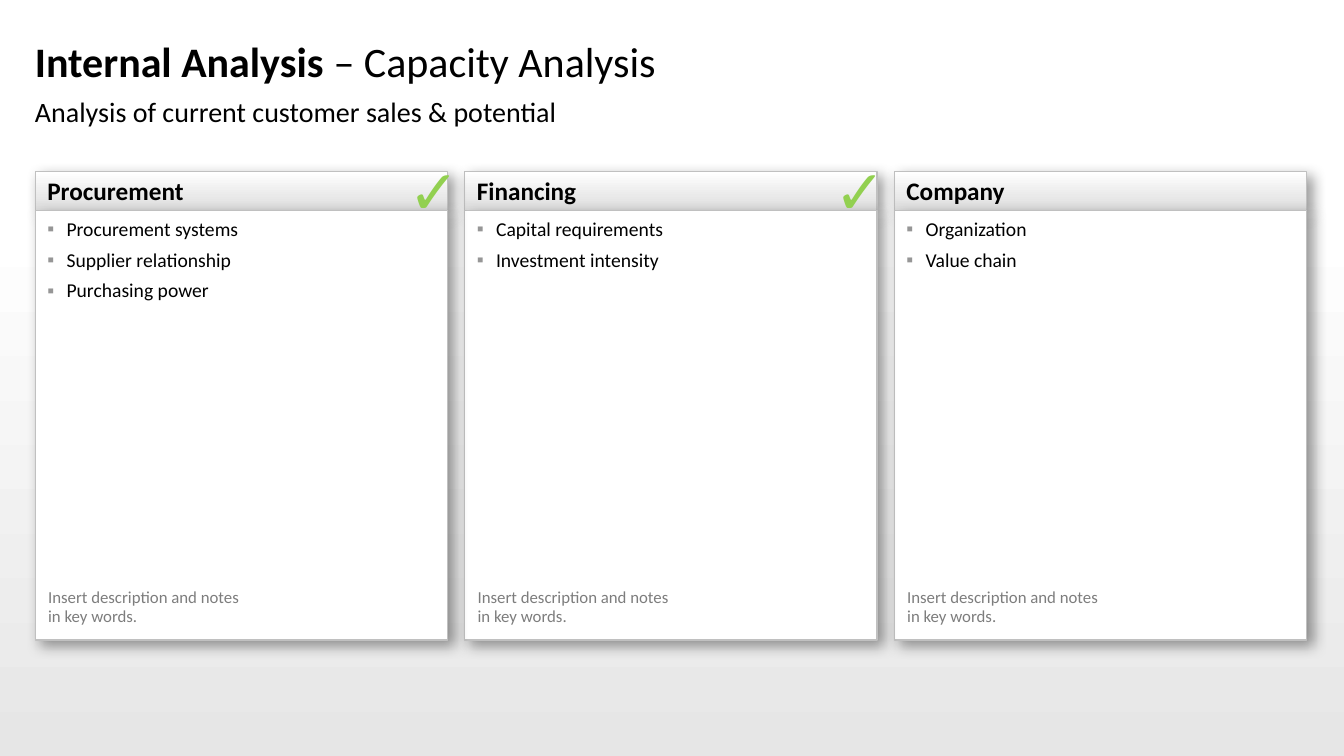
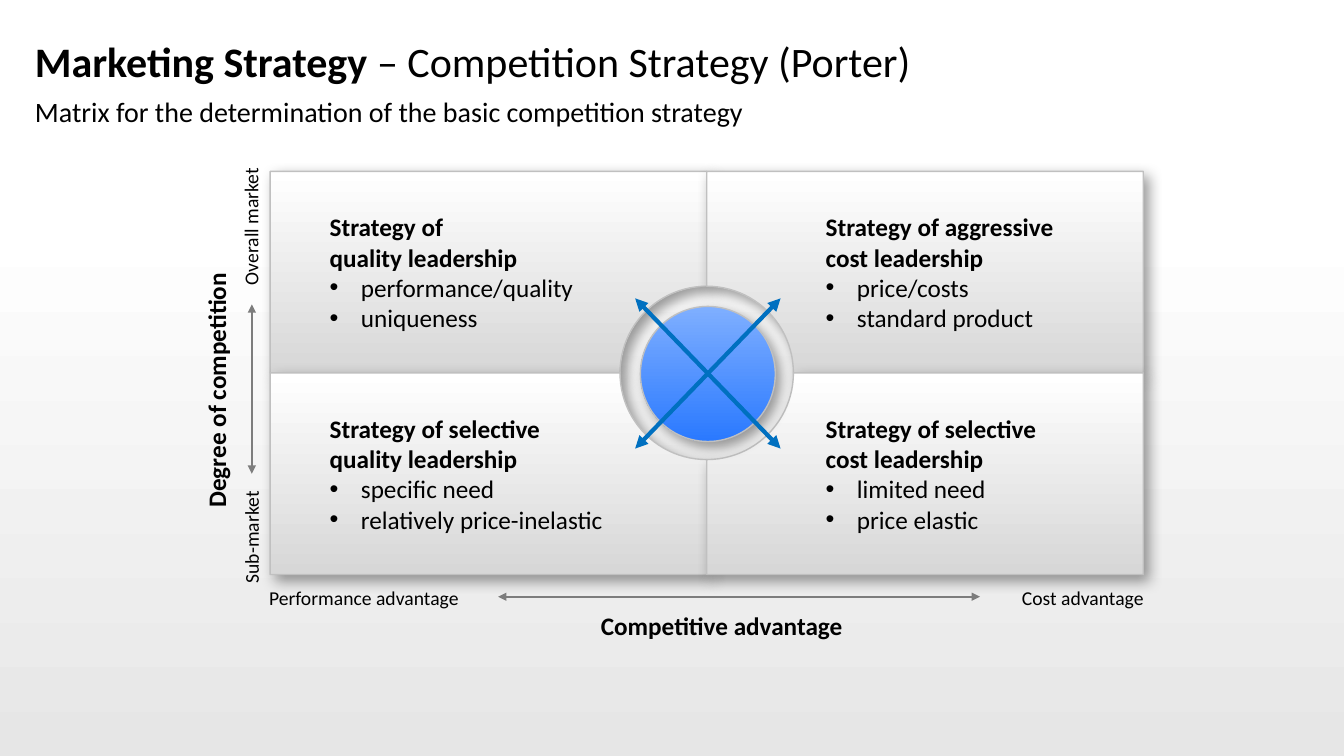
"""Builds a capacity analysis slide and a competition strategy matrix."""
import math
from dataclasses import dataclass
from typing import Optional

from lxml import etree
from pptx import Presentation
from pptx import util as u
from pptx.dml.color import RGBColor
from pptx.enum import shapes, text
from pptx.oxml.ns import qn

FONT = "Calibri"
COLORS = {
    "text": "000000", "note": "7D7D7D", "bullet": "969696", "border": "C0C0C0",
    "white": "FFFFFF", "band": "E6E6E6", "header": "DDDDDD", "cell": "D7D7D7",
    "check": "92D050", "sky": "7FAFFF", "blue": "2A79FF", "arrow": "0070C0",
}
RADIUS = 0.86
HALF = 10
ARC_STEPS = 24


@dataclass(frozen=True)
class Grid:
    """A grid of equal columns and rows, measured in inches."""
    left: float
    top: float
    col: float
    row: float

    def pt(self, col: float, row: float) -> tuple[int, int]:
        """Return the place of a grid position."""
        return u.Inches(self.left + col * self.col), u.Inches(self.top + row * self.row)

    def box(self, col: float, row: float, cols: float, rows: float) -> tuple[int, ...]:
        """Return left, top, width and height of a block of cells."""
        return *self.pt(col, row), u.Inches(cols * self.col), u.Inches(rows * self.row)


PAGE = Grid(0, 0, 13.33, 7.5)
CARDS = Grid(0.35, 1.7, 4.26, 4.65 / 12)
MATRIX = Grid(2.68, 1.7, 8.66 / 20, 4 / 20)
CARD_COLS = 0.96


@dataclass(frozen=True)
class Style:
    """Looks of a run of text."""
    size: float
    bold: bool = False
    color: str = "text"


@dataclass(frozen=True)
class Bullet:
    """Bullet sign, hanging indent in inches and colour."""
    char: str
    indent: float
    color: str


@dataclass(frozen=True)
class Card:
    """A titled list, with the column share where its check mark starts."""
    title: str
    items: tuple[str, ...]
    check: Optional[float] = None


@dataclass(frozen=True)
class Quadrant:
    """A matrix cell, with its side of the centre and its left inset."""
    sx: int
    sy: int
    inset: float
    title: str
    items: tuple[str, ...]


@dataclass(frozen=True)
class Label:
    """An axis label around its centre on the matrix grid."""
    text: str
    col: float
    row: float
    cols: float
    style: Style
    align: str = "LEFT"
    upright: bool = False


@dataclass(frozen=True)
class Arrow:
    """A double arrow between two positions on the matrix grid."""
    start: tuple[float, float]
    end: tuple[float, float]
    color: str
    width: float


SMALL, LARGE, STRONG = Style(14), Style(18), Style(18, True)
TITLE, TITLE_REST, SUBTITLE = Style(30, True), Style(30), Style(20)
NOTE, CHECK = Style(12, color="note"), Style(44, True, "check")
SQUARE, DOT = Bullet("▪", 0.19, "bullet"), Bullet("•", 0.31, "text")

CARD_LIST = (
    Card("Procurement", ("Procurement systems", "Supplier relationship", "Purchasing power"), 0.87),
    Card("Financing", ("Capital requirements", "Investment intensity"), 0.86),
    Card("Company", ("Organization", "Value chain")),
)
QUADRANTS = (
    Quadrant(-1, -1, 0.59, "Strategy of\nquality leadership", ("performance/quality", "uniqueness")),
    Quadrant(-1, 1, 0.59, "Strategy of selective\nquality leadership",
             ("specific need", "relatively price-inelastic")),
    Quadrant(1, -1, 1.18, "Strategy of aggressive\ncost leadership", ("price/costs", "standard product")),
    Quadrant(1, 1, 1.18, "Strategy of selective\ncost leadership", ("limited need", "price elastic")),
)
LABELS = (
    Label("Competitive advantage", 10.37, 22.55, 5.59, STRONG),
    Label("Performance advantage", 2.17, 21.15, 4.39, SMALL),
    Label("Cost advantage", 18.6, 21.15, 2.82, SMALL, "RIGHT"),
    Label("Sub-market", -0.44, 18.15, 2.12, SMALL, upright=True),
    Label("Overall market", -0.45, 2.8, 2.75, SMALL, "RIGHT", True),
    Label("Degree of competition", -1.24, 10.8, 5.43, STRONG, upright=True),
)
ARROWS = (
    Arrow((8.36, 13.75), (11.69, 6.3), "arrow", 3),
    Arrow((11.69, 13.75), (8.36, 6.3), "arrow", 3),
    Arrow((5.22, 21.1), (16.26, 21.1), "note", 1.5),
    Arrow((-0.42, 15), (-0.42, 6.6), "note", 1.5),
)


def rgb(name: str) -> RGBColor:
    """Return a named colour."""
    return RGBColor.from_string(COLORS[name])


def add_xml(parent, tag: str, **attrs):
    """Append an element to an XML parent."""
    return etree.SubElement(parent, qn(tag), {k: str(v) for k, v in attrs.items()})


def paint(sp, top: str, bottom: str) -> None:
    """Fill a shape from top to bottom and drop its line and shadow."""
    sp.shadow.inherit = False
    sp.line.fill.background()
    if top == bottom:
        sp.fill.solid()
        sp.fill.fore_color.rgb = rgb(top)
        return
    sp.fill.gradient()
    sp.fill.gradient_angle = 270
    for stop, name in zip(sp.fill.gradient_stops, (top, bottom)):
        stop.color.rgb = rgb(name)


def raise_panel(sp, top: str, bottom: str) -> None:
    """Give a shape its fill, grey border and soft shadow."""
    paint(sp, top, bottom)
    sp.line.color.rgb = rgb("border")
    sp.line.width = u.Pt(1)
    effects = sp._element.spPr.find(qn("a:effectLst"))
    shadow = add_xml(effects, "a:outerShdw", blurRad=u.Pt(10), dist=u.Pt(5),
                     dir=45 * 60000, algn="tl", rotWithShape=0)
    add_xml(add_xml(shadow, "a:srgbClr", val=COLORS["text"]), "a:alpha", val=40000)


def frame(sp, insets=(0, 0, 0, 0), anchor: str = "TOP", wrap: bool = True):
    """Set up and return the text frame of a shape."""
    tf = sp.text_frame
    tf.margin_left, tf.margin_top, tf.margin_right, tf.margin_bottom = map(u.Inches, insets)
    tf.vertical_anchor = getattr(text.MSO_ANCHOR, anchor)
    tf.word_wrap = wrap
    return tf


def write(p, words: str, style: Style, align: str = "LEFT") -> None:
    """Add styled runs to a paragraph, one for each line."""
    p.alignment = getattr(text.PP_ALIGN, align)
    for i, line in enumerate(words.split("\n")):
        if i:
            p.add_line_break()
            add_xml(p._p[-1], "a:rPr", sz=int(style.size * 100))
        r = p.add_run()
        r.text = line
        r.font.name = FONT
        r.font.size = u.Pt(style.size)
        r.font.bold = style.bold
        r.font.color.rgb = rgb(style.color)


def add_bullet(p, bullet: Bullet) -> None:
    """Give a paragraph a hanging bullet."""
    ppr = p._p.get_or_add_pPr()
    ppr.set("marL", str(u.Inches(bullet.indent)))
    ppr.set("indent", str(-u.Inches(bullet.indent)))
    add_xml(add_xml(ppr, "a:buClr"), "a:srgbClr", val=COLORS[bullet.color])
    add_xml(ppr, "a:buFont", typeface="Arial")
    add_xml(ppr, "a:buChar", char=bullet.char)


def add_text(s, box, words: str, style: Style, align: str = "LEFT", wrap: bool = False):
    """Add a text box without insets."""
    sp = s.shapes.add_textbox(*box)
    write(frame(sp, wrap=wrap).paragraphs[0], words, style, align)
    return sp


def add_base(prs, title: str, rest: str, subtitle: str):
    """Add a blank slide with its shaded band, title and subtitle."""
    s = prs.slides.add_slide(prs.slide_layouts[6])
    band = s.shapes.add_shape(shapes.MSO_SHAPE.RECTANGLE, *PAGE.box(0, 0.295, 1, 0.705))
    paint(band, "white", "band")
    tf = frame(s.shapes.add_textbox(*PAGE.box(0.026, 0.035, 0.947, 0.09)), anchor="MIDDLE")
    write(tf.paragraphs[0], title + " ", TITLE)
    write(tf.paragraphs[0], rest, TITLE_REST)
    add_text(s, PAGE.box(0.026, 0.125, 0.947, 0.05), subtitle, SUBTITLE, wrap=True)
    return s


def add_card(s, col: int, card: Card) -> None:
    """Add a card with header, bullet list, note and check mark."""
    rect = shapes.MSO_SHAPE.RECTANGLE
    header = s.shapes.add_shape(rect, *CARDS.box(col, 0, CARD_COLS, 1))
    raise_panel(header, "white", "header")
    write(frame(header, (0.12, 0, 0, 0), "MIDDLE").paragraphs[0], card.title, STRONG)
    body = s.shapes.add_shape(rect, *CARDS.box(col, 1, CARD_COLS, 11))
    raise_panel(body, "white", "white")
    tf = frame(body, (0.12, 0.08, 0.12, 0.08))
    for i, item in enumerate(card.items):
        p = tf.add_paragraph() if i else tf.paragraphs[0]
        p.line_spacing = 0.95
        p.space_after = u.Pt(6)
        add_bullet(p, SQUARE)
        write(p, item, SMALL)
    note = add_text(s, CARDS.box(col + 0.03, 10.66, 0.9, 1.1),
                    "Insert description and notes\nin key words.", NOTE, wrap=True)
    note.text_frame.paragraphs[0].line_spacing = 0.95
    if card.check is not None:
        add_text(s, CARDS.box(col + card.check, -0.46, 0.12, 1.9), "✓", CHECK, "CENTER")


def add_quadrant(s, quad: Quadrant) -> None:
    """Add a matrix cell with a round cut at the centre of the matrix."""
    far_col, far_row = HALF + quad.sx * HALF, HALF + quad.sy * HALF
    angles = [math.pi / 2 * i / ARC_STEPS for i in range(ARC_STEPS + 1)]
    arc = [(HALF + quad.sx * RADIUS / MATRIX.col * math.sin(a),
            HALF + quad.sy * RADIUS / MATRIX.row * math.cos(a)) for a in angles]
    outline = [MATRIX.pt(*xy) for xy in ((HALF, far_row), *arc, (far_col, HALF))]
    builder = s.shapes.build_freeform(*MATRIX.pt(far_col, far_row))
    builder.add_line_segments(outline, close=True)
    sp = builder.convert_to_shape()
    raise_panel(sp, "white", "cell")
    tf = frame(sp, (quad.inset, 0.05, 0.1, 0.05), "MIDDLE")
    write(tf.paragraphs[0], quad.title, STRONG)
    for item in quad.items:
        p = tf.add_paragraph()
        add_bullet(p, DOT)
        write(p, item, LARGE)


def add_label(s, label: Label) -> None:
    """Add an axis label, turned upright where asked."""
    rows = label.style.size / 12
    box = MATRIX.box(label.col - label.cols / 2, label.row - rows / 2, label.cols, rows)
    sp = add_text(s, box, label.text, label.style, label.align)
    sp.rotation = 270 if label.upright else 0


def add_arrow(s, arrow: Arrow) -> None:
    """Add a line with a head at both ends."""
    line = s.shapes.add_connector(shapes.MSO_CONNECTOR.STRAIGHT,
                                  *MATRIX.pt(*arrow.start), *MATRIX.pt(*arrow.end))
    line.line.color.rgb = rgb(arrow.color)
    line.line.width = u.Pt(arrow.width)
    sppr = line._element.spPr
    for tag in ("a:headEnd", "a:tailEnd"):
        add_xml(sppr.find(qn("a:ln")), tag, type="triangle")
    add_xml(sppr, "a:effectLst")


def main() -> None:
    """Build both slides and save them."""
    prs = Presentation()
    prs.slide_width, prs.slide_height = u.Inches(PAGE.col), u.Inches(PAGE.row)

    s = add_base(prs, "Internal Analysis", "– Capacity Analysis",
                 "Analysis of current customer sales & potential")
    for col, card in reversed(list(enumerate(CARD_LIST))):
        add_card(s, col, card)

    s = add_base(prs, "Marketing Strategy", "– Competition Strategy (Porter)",
                 "Matrix for the determination of the basic competition strategy")
    for quad in QUADRANTS:
        add_quadrant(s, quad)
    hub = s.shapes.add_shape(shapes.MSO_SHAPE.OVAL, *MATRIX.box(8.48, 6.7, 3.09, 6.7))
    raise_panel(hub, "sky", "blue")
    for arrow in ARROWS:
        add_arrow(s, arrow)
    for label in LABELS:
        add_label(s, label)
    prs.save("out.pptx")


if __name__ == "__main__":
    main()
